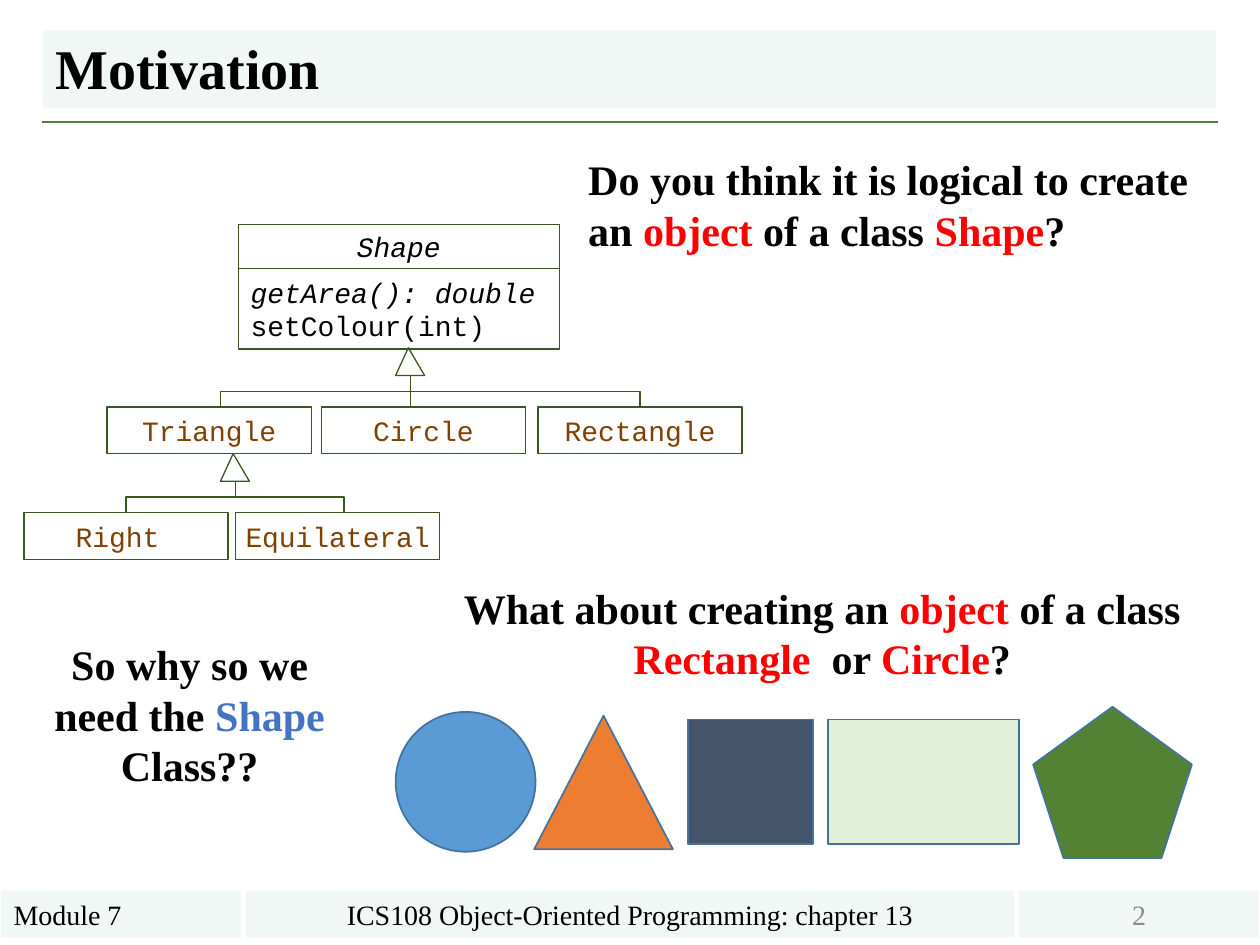
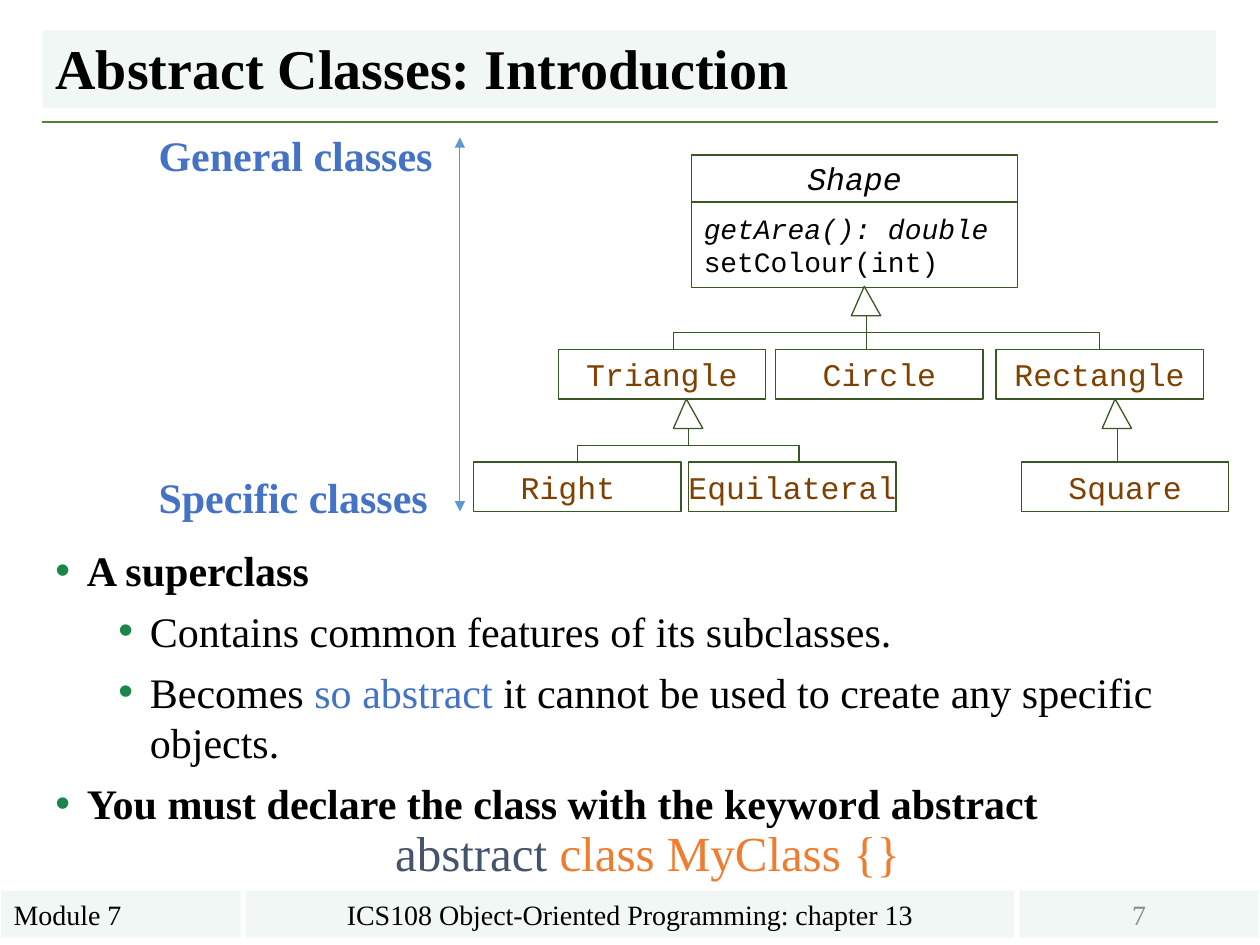
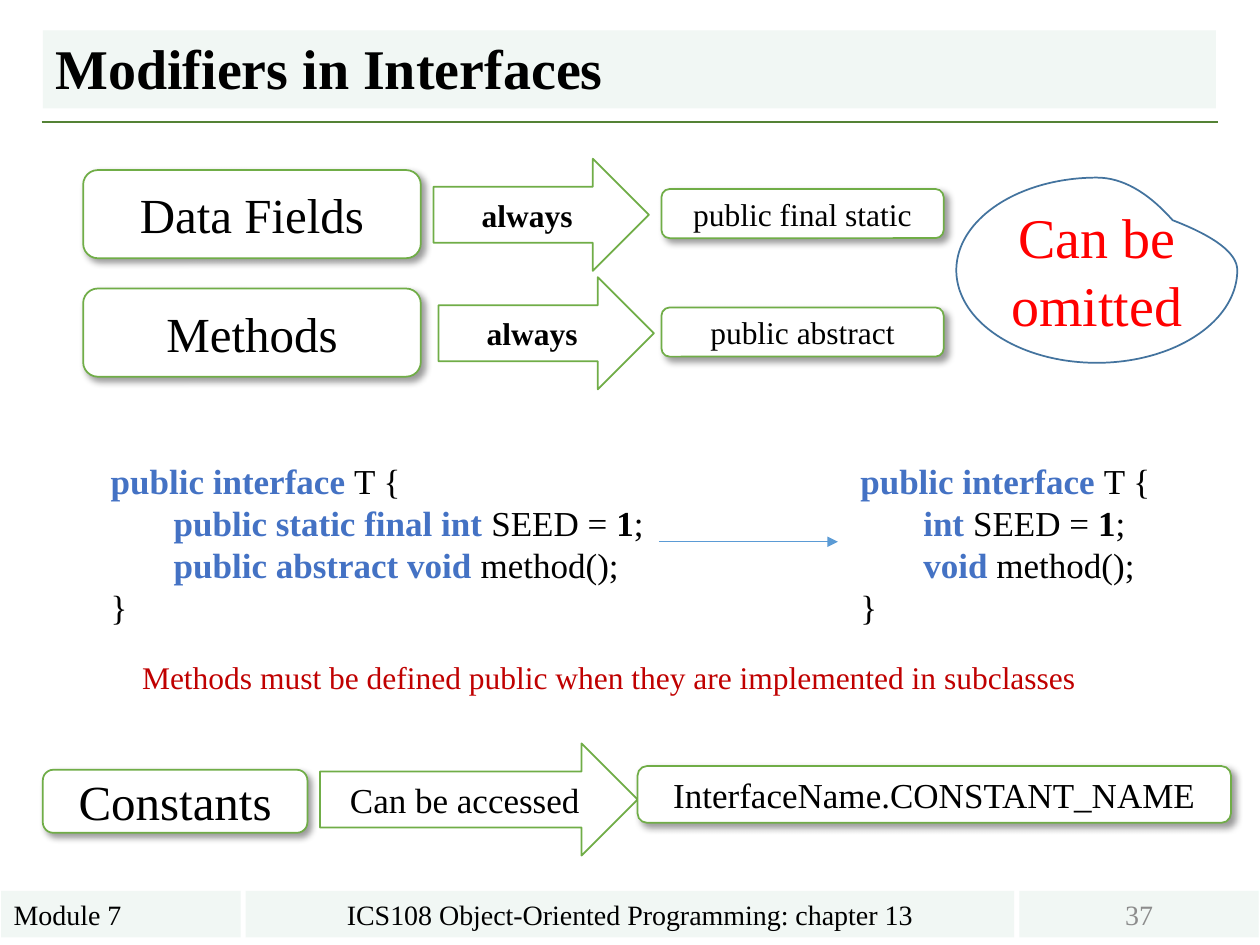
from dataclasses import dataclass

from lxml import etree
from pptx import Presentation
from pptx.dml.color import RGBColor
from pptx.enum.shapes import MSO_CONNECTOR, MSO_SHAPE
from pptx.enum.text import MSO_ANCHOR, MSO_AUTO_SIZE, PP_ALIGN
from pptx.oxml.ns import qn
from pptx.util import Inches, Pt

RECT, ROUNDED, TRIANGLE = MSO_SHAPE.RECTANGLE, MSO_SHAPE.ROUNDED_RECTANGLE, MSO_SHAPE.ISOSCELES_TRIANGLE
ELLIPSE, PENTAGON = MSO_SHAPE.OVAL, MSO_SHAPE.REGULAR_PENTAGON
ARROW, TEAR = MSO_SHAPE.RIGHT_ARROW, MSO_SHAPE.TEAR
STRAIGHT, ELBOW = MSO_CONNECTOR.STRAIGHT, MSO_CONNECTOR.ELBOW
LEFT, CENTER = PP_ALIGN.LEFT, PP_ALIGN.CENTER
TOP, MIDDLE, BOTTOM = MSO_ANCHOR.TOP, MSO_ANCHOR.MIDDLE, MSO_ANCHOR.BOTTOM

SERIF, MONO = "Times New Roman", "Courier New"
COLOURS = {
    "black": "000000", "white": "FFFFFF", "band": "F1F7F4", "grey": "8C8C8C",
    "rule": "548235", "bullet": "1A864B", "uml": "385723", "class": "804000",
    "red": "FF0000", "dark red": "C00000", "blue": "4472C4", "sky": "5B9BD5",
    "outline": "43739E", "orange": "ED7D31", "slate": "44546A", "mint": "E2F0D9",
    "card": "70AD47",
}


@dataclass
class Grid:
    """A box divided into equal columns and rows; lengths are in inches."""
    left: float
    top: float
    col: float
    row: float

    def x(self, column):
        return Inches(self.left + column * self.col)

    def y(self, row):
        return Inches(self.top + row * self.row)

    def at(self, column, row, columns, rows):
        return (self.x(column), self.y(row),
                Inches(columns * self.col), Inches(rows * self.row))

    def inner(self, column, row, columns, rows, across, down):
        return Grid(self.left + column * self.col, self.top + row * self.row,
                    columns * self.col / across, rows * self.row / down)


PAGE = Grid(0, 0, 10 / 100, 7.5 / 75)


def rgb(name):
    return RGBColor.from_string(COLOURS[name])


# ---- shared helpers ----
def write(frame, paragraphs, size, colour="black", font=SERIF, bold=False,
          italic=False, align=LEFT, anchor=TOP, wrap=True):
    """Each paragraph is a string or a list of strings and (text, colour, bold) runs."""
    frame.word_wrap = wrap
    frame.auto_size = MSO_AUTO_SIZE.NONE
    frame.vertical_anchor = anchor
    for index, content in enumerate(paragraphs):
        paragraph = frame.paragraphs[0] if index == 0 else frame.add_paragraph()
        paragraph.alignment = align
        paragraph.font.name = font
        paragraph.font.size = Pt(size)
        paragraph.font.bold = bold
        paragraph.font.italic = italic
        paragraph.font.color.rgb = rgb(colour)
        for part in [content] if isinstance(content, str) else content:
            text, run_colour, run_bold = (part, colour, bold) if isinstance(part, str) else part
            run = paragraph.add_run()
            run.text = text
            # LibreOffice reads character formatting from the runs
            run.font.name, run.font.size = font, Pt(size)
            run.font.bold, run.font.italic = run_bold, italic
            run.font.color.rgb = rgb(run_colour)


def add_text(slide, place, paragraphs, size, **style):
    write(slide.shapes.add_textbox(*place).text_frame, paragraphs, size, **style)


def add_block(slide, kind, place, fill=None, line=None, width=1):
    block = slide.shapes.add_shape(kind, *place)
    block.shadow.inherit = False
    if fill:
        block.fill.solid()
        block.fill.fore_color.rgb = rgb(fill)
    else:
        block.fill.background()
    if line:
        block.line.color.rgb = rgb(line)
        block.line.width = Pt(width)
    else:
        block.line.fill.background()
    return block


def add_line(slide, kind, start, end, colour, width, heads=()):
    line = slide.shapes.add_connector(kind, *start, *end)
    line.line.color.rgb = rgb(colour)
    line.line.width = Pt(width)
    for head in heads:
        etree.SubElement(line.line._get_or_add_ln(), qn(f"a:{head}"), type="triangle")
    etree.SubElement(line._element.spPr, qn("a:effectLst"))
    return line


def indent(paragraph, margin, first=0):
    properties = paragraph._p.get_or_add_pPr()
    properties.set("marL", str(Inches(margin)))
    properties.set("indent", str(Inches(first)))
    return properties


def start_slide(deck, layout, title, number):
    """Title band, rule and footer bands."""
    slide = deck.slides.add_slide(deck.slide_layouts[layout])
    heading = slide.shapes.title
    heading.left, heading.top, heading.width, heading.height = PAGE.at(3.4, 2.4, 93.1, 6.2)
    heading.fill.solid()
    heading.fill.fore_color.rgb = rgb("band")
    write(heading.text_frame, [title], 32, bold=True, anchor=BOTTOM)
    heading.text_frame.paragraphs[0].line_spacing = 0.9

    add_line(slide, STRAIGHT, (PAGE.x(3.3), PAGE.y(9.7)), (PAGE.x(96.7), PAGE.y(9.7)), "rule", 1.5)
    footers = [
        (0.1, 19, "Module 7", LEFT, "black"),
        (19.5, 61, "ICS108 Object-Oriented Programming: chapter 13", CENTER, "black"),
        (80.9, 19, str(number), CENTER, "grey"),
    ]
    for column, columns, text, align, colour in footers:
        band = add_block(slide, RECT, PAGE.at(column, 70.7, columns, 3.7), "band")
        write(band.text_frame, [text], 16, colour, align=align, anchor=MIDDLE)
    return slide


# ---- class diagram ----
def add_class(slide, place, lines, size, colour="class", align=CENTER, italic=False):
    box = add_block(slide, RECT, place, line="uml", width=0.75)
    write(box.text_frame, lines, size, colour, MONO, italic=italic,
          align=align, anchor=MIDDLE, wrap=False)
    return box


def add_branch(slide, start, end):
    """Join two points with a line that leaves and arrives vertically."""
    (x1, y1), (x2, y2) = start, end
    if x1 == x2:
        add_line(slide, STRAIGHT, start, end, "uml", 0.75)
        return
    middle_x, middle_y = (x1 + x2) // 2, (y1 + y2) // 2
    half_run, half_drop = (x2 - x1) // 2, (y2 - y1) // 2
    branch = add_line(slide, ELBOW, (middle_x - half_drop, middle_y + half_run),
                      (middle_x + half_drop, middle_y - half_run), "uml", 0.75)
    branch._element.spPr.xfrm.set("rot", "5400000")


def add_inheritance(slide, grid, column, row, child_columns):
    head = add_block(slide, TRIANGLE, grid.at(column, row, 2.3, 2.2), line="uml", width=0.75)
    head.adjustments[0] = 0.44
    joint = (grid.x(column + 1.2), grid.y(row + 2.2))
    for child in child_columns:
        add_branch(slide, joint, (grid.x(child), grid.y(row + 4.7)))


def class_diagram(slide, grid, size, with_square=False):
    add_class(slide, grid.at(17, 0, 25.5, 3.5), ["Shape"], size, "black", italic=True)
    members = add_class(slide, grid.at(17, 3.5, 25.5, 6.4), ["getArea(): double", "setColour(int)"],
                        16, "black", LEFT, italic=True)
    members.text_frame.paragraphs[1].runs[0].font.italic = False

    subclasses = [("Triangle", 6.6, 14.5), ("Circle", 23.6, 14.5), ("Rectangle", 40.8, 14.5),
                  ("Right ", 0, 22.9), ("Equilateral", 16.8, 22.9)]
    inheritances = [(29.5, 9.8, (15.6, 30.7, 48.9)), (15.6, 18.2, (8.1, 25.4))]
    if with_square:
        subclasses.append(("Square", 42.8, 22.9))
        inheritances.append((49.1, 18.2, (50.3,)))
    for name, column, row in subclasses:
        add_class(slide, grid.at(column, row, 16.2, 3.7), [name], size)
    for column, row, children in inheritances:
        add_inheritance(slide, grid, column, row, children)


# ---- slide 1 ----
def sample_shapes(slide, grid):
    samples = [
        (ELLIPSE, (0, 0.4, 11.1, 11.1), "sky"),
        (TRIANGLE, (11, 0.7, 11, 10.6), "orange"),
        (RECT, (23.2, 1, 9.9, 9.9), "slate"),
        (RECT, (34.3, 1, 15.2, 9.9), "mint"),
        (PENTAGON, (50.6, 0, 12.6, 12), "rule"),
    ]
    for kind, place, fill in samples:
        add_block(slide, kind, grid.at(*place), fill, "outline")


def motivation_slide(deck):
    slide = start_slide(deck, 5, "Motivation", 2)
    questions = [
        ((45.7, 11.7, 50, 9.1), LEFT,
         ["Do you think it is logical to create an ", ("object", "red", True),
          " of a class ", ("Shape", "red", True), "?"]),
        ((3.3, 50.2, 23.5, 13.1), CENTER,
         ["So why so we need the ", ("Shape", "blue", True), " Class??"]),
        ((34.8, 45.7, 60.9, 9.1), CENTER,
         ["What about creating an ", ("object", "red", True), " of a class ",
          ("Rectangle", "red", True), "  or ", ("Circle", "red", True), "?"]),
    ]
    for place, align, question in questions:
        add_text(slide, PAGE.at(*place), [question], 24, bold=True, align=align)
    sample_shapes(slide, PAGE.inner(31.4, 56.1, 63.2, 12, 63.2, 12))
    class_diagram(slide, PAGE.inner(1.9, 17.8, 57, 26.6, 57, 26.6), 16)


# ---- slide 2 ----
def bullet_list(body, place, items):
    body.left, body.top, body.width, body.height = place
    frame = body.text_frame
    write(frame, [content for _, content in items], 24)
    for index, (level, _) in enumerate(items):
        paragraph = frame.paragraphs[index]
        paragraph.level = level
        paragraph.space_before = Pt(6 if index else 0)
        properties = indent(paragraph, 0.25 + 0.5 * level, -0.25)
        marker = etree.Element(qn("a:buClr"))
        etree.SubElement(marker, qn("a:srgbClr"), val=COLOURS["bullet"])
        character = etree.Element(qn("a:buChar"), char="•")
        defaults = properties.find(qn("a:defRPr"))
        defaults.addprevious(marker)
        defaults.addprevious(character)


def introduction_slide(deck):
    slide = start_slide(deck, 1, "Abstract Classes: Introduction", 7)
    bullet_list(slide.placeholders[1], PAGE.at(3.4, 42.7, 93.4, 26.9), [
        (0, [("A superclass", "black", True)]),
        (1, "Contains common features of its subclasses."),
        (1, ["Becomes ", ("so abstract ", "blue", False),
             "it cannot be used to create any specific objects."]),
        (0, [("You must declare the class with the keyword abstract", "black", True)]),
    ])
    # Scale from general to specific
    for row, label in ((9.8, "General classes"), (36.9, "Specific classes")):
        add_text(slide, PAGE.at(11.6, row, 23.9, 5), [label], 24, colour="blue", bold=True, wrap=False)
    add_line(slide, STRAIGHT, (PAGE.x(36.5), PAGE.y(10.9)), (PAGE.x(36.5), PAGE.y(40.6)),
             "sky", 0.5, ("headEnd", "tailEnd"))
    add_text(slide, PAGE.at(24, 64.8, 54.8, 5.7),
             [["abstract ", ("class MyClass {}", "orange", False)]], 28, colour="slate", align=CENTER)
    class_diagram(slide, PAGE.inner(37.6, 12.3, 57.9, 28.3, 57, 26.6), 18, with_square=True)


# ---- slide 3 ----
def add_card(slide, place, text, size):
    card = add_block(slide, ROUNDED, place, "white", "card")
    effects = card._element.spPr.find(qn("a:effectLst"))
    shadow = etree.SubElement(effects, qn("a:outerShdw"), blurRad=str(Pt(4)), dist=str(Pt(3)),
                              dir="2700000", algn="tl", rotWithShape="0")
    tint = etree.SubElement(shadow, qn("a:srgbClr"), val=COLOURS["black"])
    etree.SubElement(tint, qn("a:alpha"), val="40000")
    write(card.text_frame, [text], size, align=CENTER, anchor=MIDDLE)


def add_arrow(slide, place, text, size, bold=False):
    arrow = add_block(slide, ARROW, place, line="card")
    write(arrow.text_frame, [text], size, bold=bold, align=CENTER, anchor=MIDDLE)


def modifier_rows(slide, grid):
    rows = [("Data Fields", "public final static", 27.8), ("Methods", "public abstract", 28.2)]
    for index, (subject, modifiers, arrow_column) in enumerate(rows):
        top = index * 9.4
        add_card(slide, grid.at(0, top + 0.9, 26.8, 7), subject, 28)
        add_arrow(slide, grid.at(arrow_column, top, 17.1, 8.9), "always", 18, bold=True)
        add_card(slide, grid.at(45.9, top + 2.4, 22.4, 3.9), modifiers, 18)


def constant_row(slide, grid):
    add_card(slide, grid.at(0, 2.1, 21, 5), "Constants", 28)
    add_arrow(slide, grid.at(22, 0, 25.2, 8.9), "Can be accessed", 20)
    add_card(slide, grid.at(47.2, 1.8, 47.1, 4.5), "InterfaceName.CONSTANT_NAME", 20)


def interface_code(slide, place, field_keywords, method_keywords):
    code = slide.shapes.add_textbox(*place).text_frame
    write(code, [
        [("public interface ", "blue", True), "T {"],
        [(field_keywords, "blue", True), "SEED = ", ("1", "black", True), ";"],
        [(method_keywords, "blue", True), "method();"],
        "}",
    ], 20)
    for member in code.paragraphs[1:3]:
        indent(member, 0.5)


def modifiers_slide(deck):
    slide = start_slide(deck, 5, "Modifiers in Interfaces", 37)
    modifier_rows(slide, PAGE.inner(6.6, 12.6, 68.3, 18.3, 68.3, 18.3))
    remark = add_block(slide, TEAR, PAGE.at(75.9, 14.1, 22.3, 14.7), "white", "outline")
    remark.adjustments[0] = 0.54
    write(remark.text_frame, ["Can be omitted"], 32, "red", align=CENTER, anchor=MIDDLE)

    # Full declaration and its short form
    interface_code(slide, PAGE.at(7.8, 36, 44.5, 14), "public static final int ", "public abstract void ")
    interface_code(slide, PAGE.at(67.3, 36, 26.3, 14), "int ", "void ")
    add_line(slide, STRAIGHT, (PAGE.x(52.3), PAGE.y(43)), (PAGE.x(66.5), PAGE.y(43)),
             "sky", 0.5, ("tailEnd",))
    add_text(slide, PAGE.at(4.8, 51.7, 87.1, 4),
             ["Methods must be defined public when they are implemented in subclasses"],
             18, colour="dark red", align=CENTER)
    constant_row(slide, PAGE.inner(3.4, 59, 94.3, 8.9, 94.3, 8.9))


def main():
    deck = Presentation()
    deck.slide_width, deck.slide_height = Inches(10), Inches(7.5)
    motivation_slide(deck)
    introduction_slide(deck)
    modifiers_slide(deck)
    deck.save("out.pptx")


if __name__ == "__main__":
    main()
